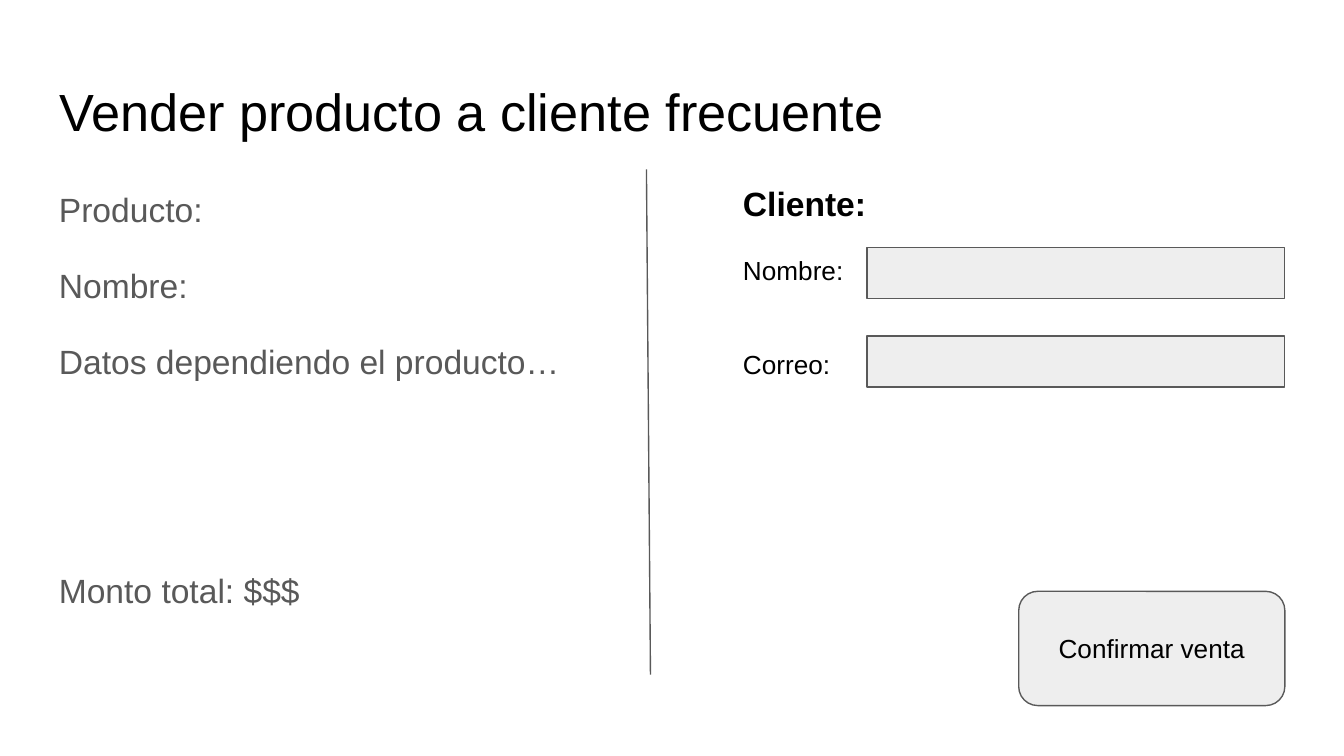
from pptx import Presentation
from pptx.dml.color import RGBColor
from pptx.enum.shapes import MSO_CONNECTOR, MSO_SHAPE
from pptx.enum.text import MSO_ANCHOR, MSO_AUTO_SIZE, PP_ALIGN
from pptx.oxml.ns import qn
from pptx.util import Inches, Pt

BLACK, GRAY, LIGHT = "000000", "595959", "EEEEEE"


def color(value):
    """Turn a hex string into a colour."""
    return RGBColor.from_string(value)


def place(shape, left, top, width, height):
    """Position a shape, in inches."""
    shape.left, shape.top = Inches(left), Inches(top)
    shape.width, shape.height = Inches(width), Inches(height)


def write(shape, lines, size, ink, anchor=MSO_ANCHOR.TOP, align=PP_ALIGN.LEFT):
    """Fill a shape with formatted paragraphs and return them."""
    frame = shape.text_frame
    frame.text = "\n".join(lines)
    frame.word_wrap = True
    frame.auto_size = MSO_AUTO_SIZE.NONE
    frame.vertical_anchor = anchor
    frame.margin_left = frame.margin_right = Inches(0.1)
    frame.margin_top = frame.margin_bottom = Inches(0.1)
    for para in frame.paragraphs:
        para.alignment = align
        for span in para.runs:
            span.font.name = "Arial"
            span.font.size = Pt(size)
            span.font.color.rgb = color(ink)
    return frame.paragraphs


def add_title(page, text):
    """Format and fill the title placeholder."""
    title = page.shapes.title
    place(title, 0.34, 0.49, 9.32, 0.63)
    write(title, [text], 28, BLACK)


def add_text(page, bounds, lines, size, ink):
    """Add a text box and return its paragraphs."""
    box = page.shapes.add_textbox(*map(Inches, bounds))
    return write(box, lines, size, ink)


def add_product(page):
    """Add the product details and the total."""
    lines = ["Producto:", "Nombre:", "Datos dependiendo el producto…", "Monto total: $$$"]
    paras = add_text(page, (0.34, 1.26, 4.73, 3.92), lines, 18, GRAY)
    for para, gap in zip(paras, (0, 16, 16, 97.8)):
        para.line_spacing = 1.15
        para.space_before = Pt(gap)


def add_client(page):
    """Add the client heading, field labels and input fields."""
    paras = add_text(page, (5.43, 1.26, 1.34, 1.41), ["Cliente:", "Nombre:", "Correo:"], 14, BLACK)
    for para, gap in zip(paras, (0, 16.8, 33.6)):
        para.space_before = Pt(gap)
    heading = paras[0].runs[0].font
    heading.size, heading.bold = Pt(18), True
    for top in (1.84, 2.5):
        add_panel(page, MSO_SHAPE.RECTANGLE, (6.45, top, 3.11, 0.38))


def add_panel(page, kind, bounds):
    """Add a light outlined shape."""
    panel = page.shapes.add_shape(kind, *map(Inches, bounds))
    panel.shadow.inherit = False
    panel.fill.solid()
    panel.fill.fore_color.rgb = color(LIGHT)
    panel.line.color.rgb = color(GRAY)
    panel.line.width = Pt(0.75)
    return panel


def add_button(page, text):
    """Add a rounded button."""
    button = add_panel(page, MSO_SHAPE.ROUNDED_RECTANGLE, (7.58, 4.4, 1.98, 0.85))
    write(button, [text], 14, BLACK, MSO_ANCHOR.MIDDLE, PP_ALIGN.CENTER)


def add_divider(page, start, end):
    """Add a thin line without shadow."""
    divider = page.shapes.add_connector(MSO_CONNECTOR.STRAIGHT, *map(Inches, start + end))
    divider.line.color.rgb = color(GRAY)
    divider.line.width = Pt(0.75)
    properties = divider._element.spPr
    properties.append(properties.makeelement(qn("a:effectLst"), {}))


def main():
    """Build the sale form slide."""
    deck = Presentation()
    deck.slide_width = Inches(10)
    deck.slide_height = Inches(10 * 9 / 16)
    page = deck.slides.add_slide(deck.slide_layouts[5])
    add_title(page, "Vender producto a cliente frecuente")
    add_product(page)
    add_divider(page, (4.81, 1.26), (4.84, 5.02))
    add_client(page)
    add_button(page, "Confirmar venta")
    deck.save("out.pptx")


if __name__ == "__main__":
    main()
